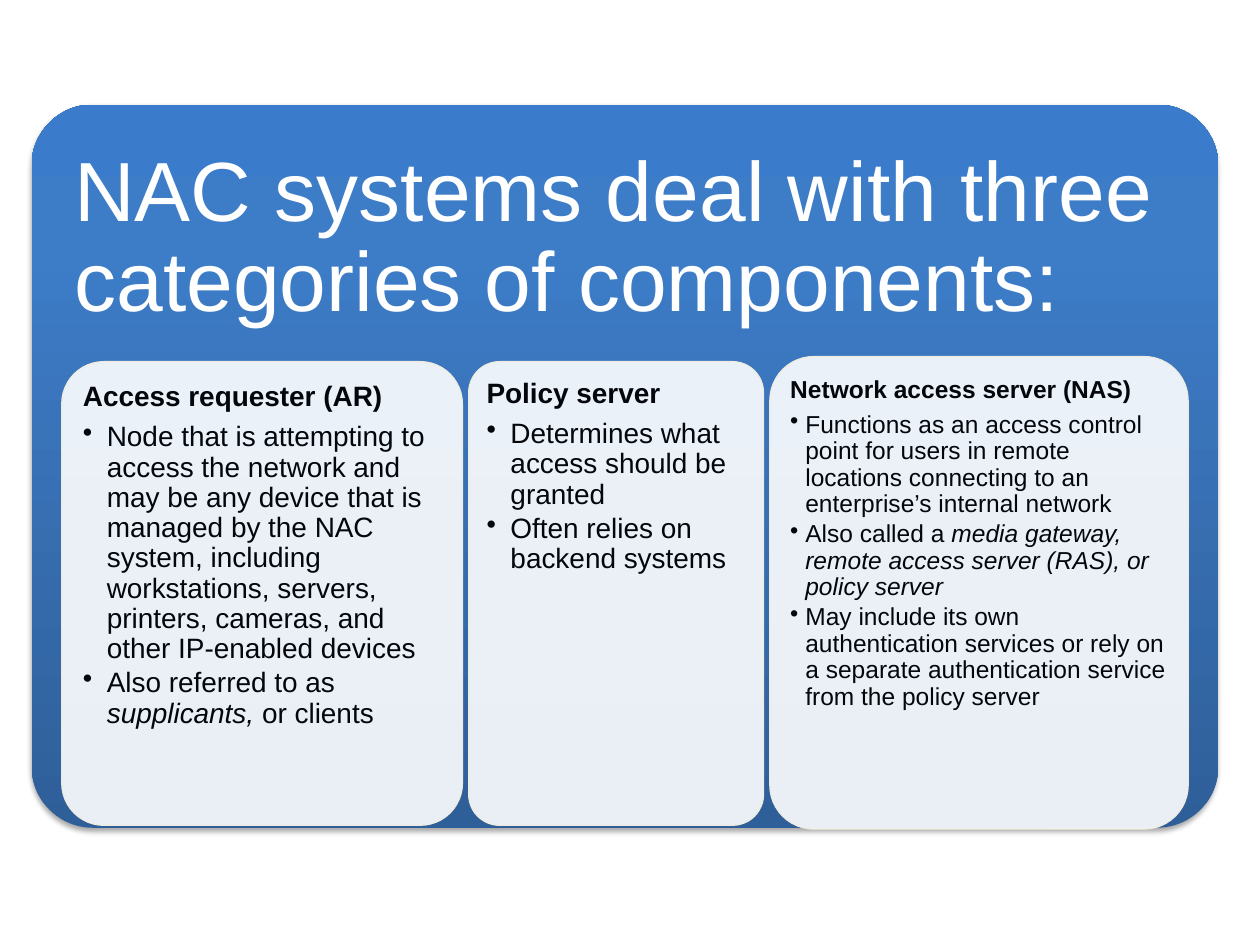
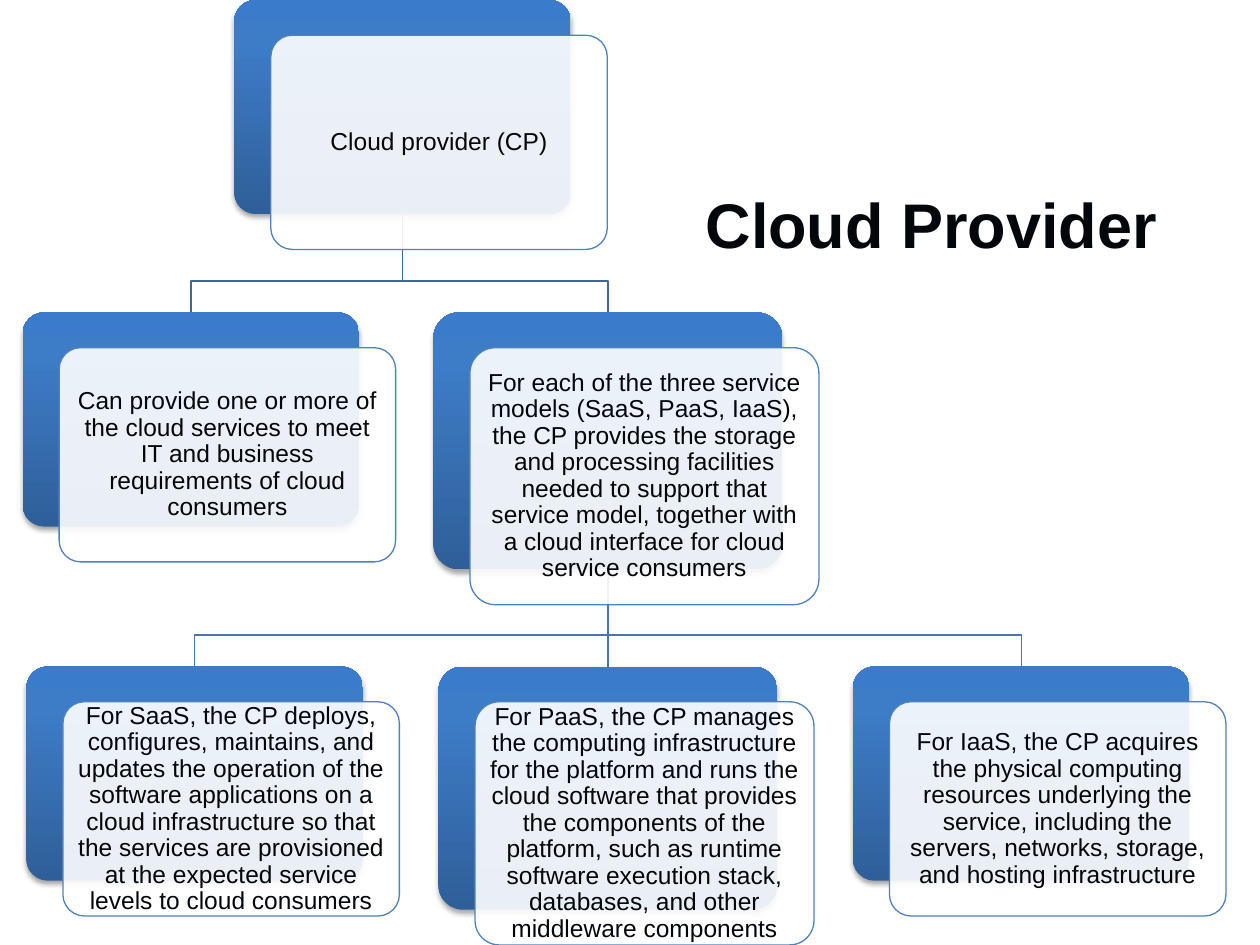
from pptx import Presentation
from pptx.dml.color import RGBColor
from pptx.enum.shapes import MSO_CONNECTOR, MSO_SHAPE
from pptx.enum.text import MSO_ANCHOR, MSO_AUTO_SIZE, PP_ALIGN
from pptx.oxml import parse_xml
from pptx.oxml.ns import nsdecls, qn
from pptx.util import Inches, Pt

ROUNDED = MSO_SHAPE.ROUNDED_RECTANGLE
STRAIGHT = MSO_CONNECTOR.STRAIGHT
TOP, MIDDLE, BOTTOM = MSO_ANCHOR.TOP, MSO_ANCHOR.MIDDLE, MSO_ANCHOR.BOTTOM
LEFT, CENTER = PP_ALIGN.LEFT, PP_ALIGN.CENTER
NO_FIT = MSO_AUTO_SIZE.NONE

FONT = "Arial"
COLORS = {
    "ink": "03070C", "white": "FFFFFF", "card_edge": "EEECE1", "node_edge": "4F81BD",
    "dark": "2F5F99", "mid": "3D7CC7", "light": "3A7CCB",
    "upper_link": "3F6797", "lower_link": "4875AC",
}
GRADIENT = ((0, "dark"), (80, "mid"), (100, "light"))
LAYOUT_TITLE_ONLY = 5
LINE_WIDTH = Pt(0.75)
LINE_SPACING = 0.9
NODE_SHIFT = (0.29, 0.28)  # front card against its blue back
BEND = 0.25  # height of the crossbar above the children

# left, top, width, height, text size, inset, bullet indent, heading, bullets (*italic*)
CARDS = [
    (0.49, 2.87, 3.18, 3.68, 16, 0.07, 0.19, "Access requester (AR)", [
        "Node that is attempting to access the network and may be any device that is "
        "managed by the NAC system, including workstations, servers, printers, cameras, "
        "and other IP-enabled devices",
        "Also referred to as *supplicants, *or clients"]),
    (3.72, 2.87, 2.34, 3.68, 16, 0.07, 0.19, "Policy server", [
        "Determines what access should be granted",
        "Often relies on backend systems"]),
    (6.11, 2.83, 3.32, 3.75, 14, 0.06, 0.12, "Network access server (NAS)", [
        "Functions as an access control point for users in remote locations connecting to "
        "an enterprise’s internal network",
        "Also called a *media gateway, remote access server (RAS), or policy server*",
        "May include its own authentication services or rely on a separate authentication "
        "service from the policy server"]),
]

# name: left, top, width, height of the blue back, text
NODES = {
    "provider": (1.86, 0, 2.67, 1.7, "Cloud provider (CP)"),
    "services": (0.18, 2.48, 2.67, 1.7,
                 "Can provide one or more of the cloud services to meet IT and business "
                 "requirements of cloud consumers"),
    "models": (3.44, 2.48, 2.77, 2.04,
               "For each of the three service models (SaaS, PaaS, IaaS), the CP provides the "
               "storage and processing facilities needed to support that service model, "
               "together with a cloud interface for cloud service consumers"),
    "saas": (0.21, 5.29, 2.67, 1.7,
             "For SaaS, the CP deploys, configures, maintains, and updates the operation of "
             "the software applications on a cloud infrastructure so that the services are "
             "provisioned at the expected service levels to cloud consumers"),
    "paas": (3.48, 5.29, 2.69, 1.93,
             "For PaaS, the CP manages the computing infrastructure for the platform and runs "
             "the cloud software that provides the components of the platform, such as runtime "
             "software execution stack, databases, and other middleware components"),
    "iaas": (6.77, 5.29, 2.67, 1.7,
             "For IaaS, the CP acquires the physical computing resources underlying the "
             "service, including the servers, networks, storage, and hosting infrastructure"),
}
LINKS = [
    ("provider", ["services", "models"], "upper_link"),
    ("models", ["saas", "paas", "iaas"], "lower_link"),
]


def rgb(name):
    return RGBColor.from_string(COLORS[name])


def set_all(obj, **values):
    for name, value in values.items():
        setattr(obj, name, value)


def place(sp, left, top, width, height):
    set_all(sp, left=Inches(left), top=Inches(top),
            width=Inches(width), height=Inches(height))


def set_frame(tf, inset, anchor):
    sides = ("left", "top", "right", "bottom")
    set_all(tf, word_wrap=True, auto_size=NO_FIT, vertical_anchor=anchor,
            **{f"margin_{side}": Inches(inset) for side in sides})


def write(p, text, size, color="ink", bold=False, align=LEFT, after=0.35, spacing=LINE_SPACING):
    """Fill a paragraph; parts between asterisks are italic, after is a share of the size."""
    set_all(p, alignment=align, line_spacing=spacing, space_before=Pt(0),
            space_after=Pt(size * after))
    for i, part in enumerate(text.split("*")):
        if part:
            r = p.add_run()
            r.text = part
            set_all(r.font, name=FONT, size=Pt(size), bold=bold, italic=i % 2 == 1)
            r.font.color.rgb = rgb(color)


def add_bullet(p, indent):
    pPr = p._p.get_or_add_pPr()
    pPr.set("marL", str(Inches(indent)))
    pPr.set("indent", str(-Inches(indent)))
    pPr.append(parse_xml(f'<a:buChar {nsdecls("a")} char="•"/>'))


def add_rounded(s, box, radius):
    sp = s.shapes.add_shape(ROUNDED, *map(Inches, box))
    sp.adjustments[0] = radius
    sp.shadow.inherit = False
    return sp


def add_blue_panel(s, box, radius):
    """Gradient panel with a soft shadow below."""
    sp = add_rounded(s, box, radius)
    sp.line.fill.background()
    spPr = sp.element.spPr
    stops = "".join(f'<a:gs pos="{pos * 1000}"><a:srgbClr val="{COLORS[name]}"/></a:gs>'
                    for pos, name in GRADIENT)
    spPr.find(qn("a:prstGeom")).addnext(parse_xml(
        f'<a:gradFill {nsdecls("a")} rotWithShape="1"><a:gsLst>{stops}</a:gsLst>'
        '<a:lin ang="16200000" scaled="0"/></a:gradFill>'))
    spPr.find(qn("a:effectLst")).append(parse_xml(
        f'<a:outerShdw {nsdecls("a")} blurRad="{Pt(3.1)}" dist="{Pt(1.8)}" dir="5400000" '
        'rotWithShape="0"><a:srgbClr val="000000"><a:alpha val="35000"/></a:srgbClr>'
        '</a:outerShdw>'))
    return sp


def add_white_card(s, box, radius, edge, inset, anchor):
    """Slightly transparent card; returns its text frame."""
    sp = add_rounded(s, box, radius)
    sp.fill.solid()
    sp.fill.fore_color.rgb = rgb("white")
    white = sp.element.spPr.find(qn("a:solidFill")).find(qn("a:srgbClr"))
    white.append(parse_xml(f'<a:alpha {nsdecls("a")} val="90000"/>'))
    sp.line.color.rgb = rgb(edge)
    sp.line.width = LINE_WIDTH
    set_frame(sp.text_frame, inset, anchor)
    return sp.text_frame


def add_title(s, box, text, inset, anchor, **style):
    title = s.shapes.title
    place(title, *box)
    set_frame(title.text_frame, inset, anchor)
    write(title.text_frame.paragraphs[0], text, **style)
    return title


def add_list_card(s, left, top, width, height, size, inset, indent, heading, bullets):
    tf = add_white_card(s, (left, top, width, height), 0.105, "card_edge", inset, TOP)
    write(tf.paragraphs[0], heading, size, bold=True)
    for text in bullets:
        p = tf.add_paragraph()
        add_bullet(p, indent)
        write(p, text, size, after=0.15)


def add_node(s, left, top, width, height, text):
    add_blue_panel(s, (left, top, width, height), 0.1)
    dx, dy = NODE_SHIFT
    tf = add_white_card(s, (left + dx, top + dy, width, height), 0.1, "node_edge", 0.06, MIDDLE)
    write(tf.paragraphs[0], text, 14, align=CENTER)


def add_link(s, parent, child, color):
    """Line from the bottom centre of one node to the top centre of another."""
    x1, y1 = parent[0] + parent[2] / 2, parent[1] + parent[3]
    x2, y2 = child[0] + child[2] / 2, child[1]
    if abs(x1 - x2) < 0.01:
        sp = s.shapes.add_connector(STRAIGHT, *map(Inches, (x1, y1, x2, y2)))
        sp.element.spPr.append(parse_xml(f'<a:effectLst {nsdecls("a")}/>'))
    else:
        bend = y2 - BEND
        outline = s.shapes.build_freeform(Inches(x1), Inches(y1))
        corners = [(x1, bend), (x2, bend), (x2, y2)]
        outline.add_line_segments([(Inches(x), Inches(y)) for x, y in corners], close=False)
        sp = outline.convert_to_shape()
        sp.fill.background()
        sp.shadow.inherit = False
    sp.line.color.rgb = rgb(color)
    sp.line.width = LINE_WIDTH


def build_components(s):
    panel = add_blue_panel(s, (0.25, 0.83, 9.42, 5.74), 0.085)
    title = add_title(s, (0.39, 0.98, 9.13, 2.1),
                      "NAC systems deal with three categories of components:",
                      0.2, TOP, size=48, color="white")
    panel.element.addnext(title.element)
    for card in CARDS:
        add_list_card(s, *card)


def build_cloud_provider(s):
    add_title(s, (5.5, 0.25, 4.25, 1.92), "Cloud Provider", 0.1, BOTTOM,
              size=36, bold=True, after=0, spacing=1.0)
    for parent, children, color in LINKS:
        for child in children:
            add_link(s, NODES[parent], NODES[child], color)
    for node in NODES.values():
        add_node(s, *node)


def main():
    prs = Presentation()
    set_all(prs, slide_width=Inches(10), slide_height=Inches(7.5))
    for build in (build_components, build_cloud_provider):
        build(prs.slides.add_slide(prs.slide_layouts[LAYOUT_TITLE_ONLY]))
    prs.save("out.pptx")


if __name__ == "__main__":
    main()
